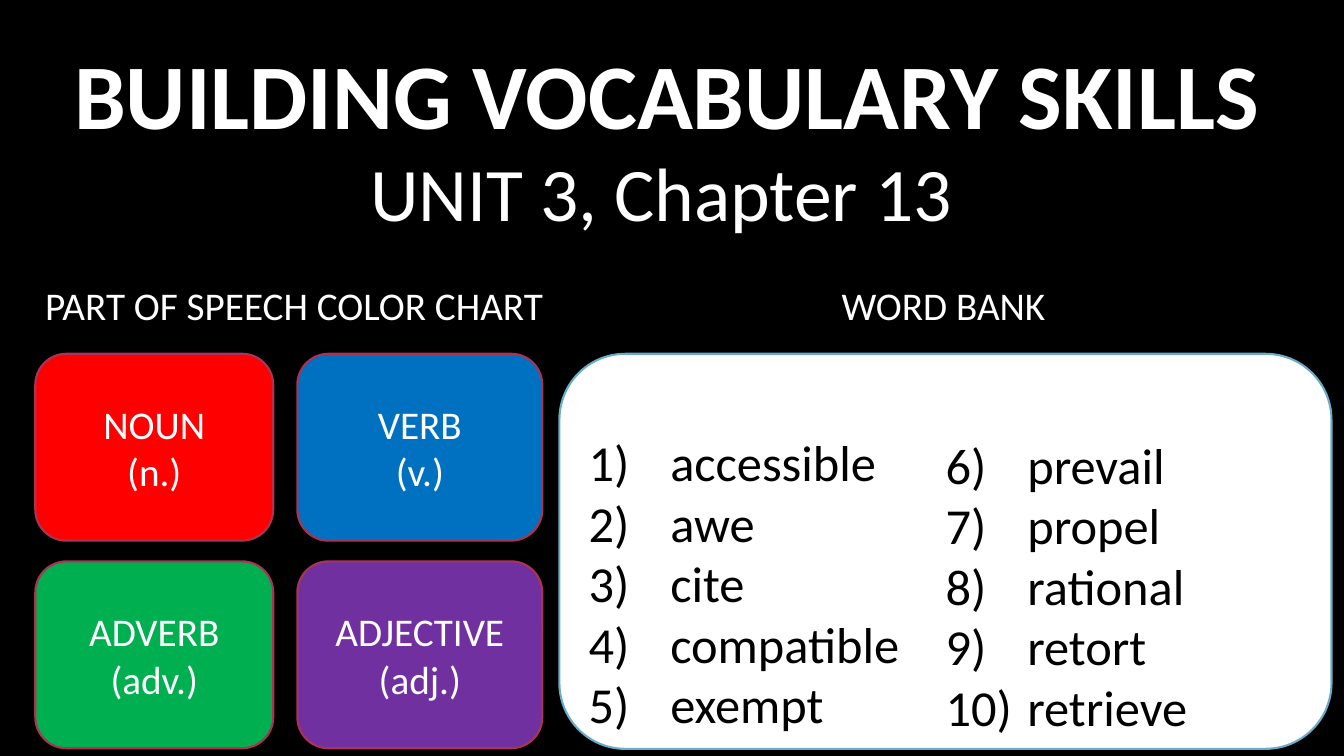
from dataclasses import dataclass

from lxml import etree
from pptx import Presentation
from pptx import util as u
from pptx.dml.color import RGBColor
from pptx.enum import shapes, text
from pptx.oxml import ns

FONT = "Calibri"
COLORS = {
    "black": "000000",
    "white": "FFFFFF",
    "noun": "FF0000",
    "verb": "0070C0",
    "adverb": "00B050",
    "adjective": "7030A0",
    "card_line": "AC3356",
    "bank_line": "6AADC8",
}


@dataclass
class Box:
    left: float
    top: float
    width: float
    height: float

    def lengths(self) -> list:
        return [u.Pt(v) for v in (self.left, self.top, self.width, self.height)]


@dataclass
class Caption:
    words: str
    box: Box
    size: float
    align: text.PP_ALIGN = text.PP_ALIGN.CENTER
    bold: bool = False


@dataclass
class SpeechCard:
    name: str
    abbreviation: str
    color: str


@dataclass
class WordColumn:
    first_number: int
    words: list[str]
    left: float
    top: float


CAPTIONS = [
    Caption("BUILDING VOCABULARY SKILLS", Box(25.2, 26, 903, 80), 66, bold=True),
    Caption("UNIT 3, Chapter 13", Box(251.3, 104, 442, 66), 54),
    Caption("PART OF SPEECH COLOR CHART", Box(25.2, 197.3, 374.4, 41), 28, text.PP_ALIGN.LEFT),
    Caption("WORD BANK", Box(594, 197.3, 162, 41), 28, text.PP_ALIGN.LEFT),
]
CARDS = [
    SpeechCard("NOUN", "(n.)", "noun"),
    SpeechCard("VERB", "(v.)", "verb"),
    SpeechCard("ADVERB", "(adv.)", "adverb"),
    SpeechCard("ADJECTIVE", "(adj.)", "adjective"),
]
CARD_COLUMNS = [(25.2, 170), (212.4, 175)]  # left, width
CARD_TOP, CARD_HEIGHT, CARD_PITCH = 252.7, 133.5, 148.3
BANK = Box(399.6, CARD_TOP, 551.5, 282.2)
WORD_COLUMNS = [
    WordColumn(1, ["accessible", "awe", "cite", "compatible", "exempt"], 420.5, 308),
    WordColumn(6, ["prevail", "propel", "rational", "retort", "retrieve"], 675.5, 310),
]
WORD_SIZE, WORD_PITCH, WORD_INDENT = 36, 43.2, 58.3


def rgb(name: str) -> RGBColor:
    return RGBColor.from_string(COLORS[name])


def add_run(p, words: str, size: float, color: str, bold: bool = False) -> None:
    r = p.add_run()
    r.text = words
    r.font.name = FONT
    r.font.size = u.Pt(size)
    r.font.bold = bold
    r.font.color.rgb = rgb(color)


def add_caption(s, caption: Caption) -> None:
    tf = s.shapes.add_textbox(*caption.box.lengths()).text_frame
    tf.word_wrap = False
    tf.vertical_anchor = text.MSO_ANCHOR.MIDDLE
    p = tf.paragraphs[0]
    p.alignment = caption.align
    add_run(p, caption.words, caption.size, "white", caption.bold)


def add_panel(s, box: Box, fill: str, line: str):
    sp = s.shapes.add_shape(shapes.MSO_SHAPE.ROUNDED_RECTANGLE, *box.lengths())
    sp.shadow.inherit = False
    sp.fill.solid()
    sp.fill.fore_color.rgb = rgb(fill)
    sp.line.color.rgb = rgb(line)
    sp.line.width = u.Pt(1.5)
    return sp


def add_card(s, card: SpeechCard, box: Box) -> None:
    tf = add_panel(s, box, card.color, "card_line").text_frame
    tf.word_wrap = True
    tf.vertical_anchor = text.MSO_ANCHOR.MIDDLE
    for i, words in enumerate((card.name, card.abbreviation)):
        p = tf.add_paragraph() if i else tf.paragraphs[0]
        p.alignment = text.PP_ALIGN.CENTER
        add_run(p, words, 28, "white")


def number_paragraph(p, start: int) -> None:
    """Give the paragraph a hanging automatic number such as 1)."""
    p.line_spacing = u.Pt(WORD_PITCH)
    ppr = p._p.get_or_add_pPr()
    ppr.set("marL", str(u.Pt(WORD_INDENT)))
    ppr.set("indent", str(-u.Pt(WORD_INDENT)))
    number = etree.SubElement(ppr, ns.qn("a:buAutoNum"))
    number.set("type", "arabicParenR")
    number.set("startAt", str(start))


def add_word_column(s, column: WordColumn) -> None:
    box = Box(column.left, column.top, 250, WORD_PITCH * len(column.words))
    tf = s.shapes.add_textbox(*box.lengths()).text_frame
    tf.word_wrap = True
    tf.margin_left = tf.margin_right = tf.margin_top = tf.margin_bottom = 0
    for i, word in enumerate(column.words):
        p = tf.add_paragraph() if i else tf.paragraphs[0]
        number_paragraph(p, column.first_number)
        add_run(p, word, WORD_SIZE, "black")


def main() -> None:
    prs = Presentation()
    prs.slide_width, prs.slide_height = u.Pt(960), u.Pt(540)
    s = prs.slides.add_slide(prs.slide_layouts[6])
    s.background.fill.solid()
    s.background.fill.fore_color.rgb = rgb("black")

    for caption in CAPTIONS:
        add_caption(s, caption)
    for i, card in enumerate(CARDS):
        row, col = divmod(i, 2)
        left, width = CARD_COLUMNS[col]
        add_card(s, card, Box(left, CARD_TOP + row * CARD_PITCH, width, CARD_HEIGHT))
    add_panel(s, BANK, "white", "bank_line")
    for column in WORD_COLUMNS:
        add_word_column(s, column)
    prs.save("out.pptx")


if __name__ == "__main__":
    main()
